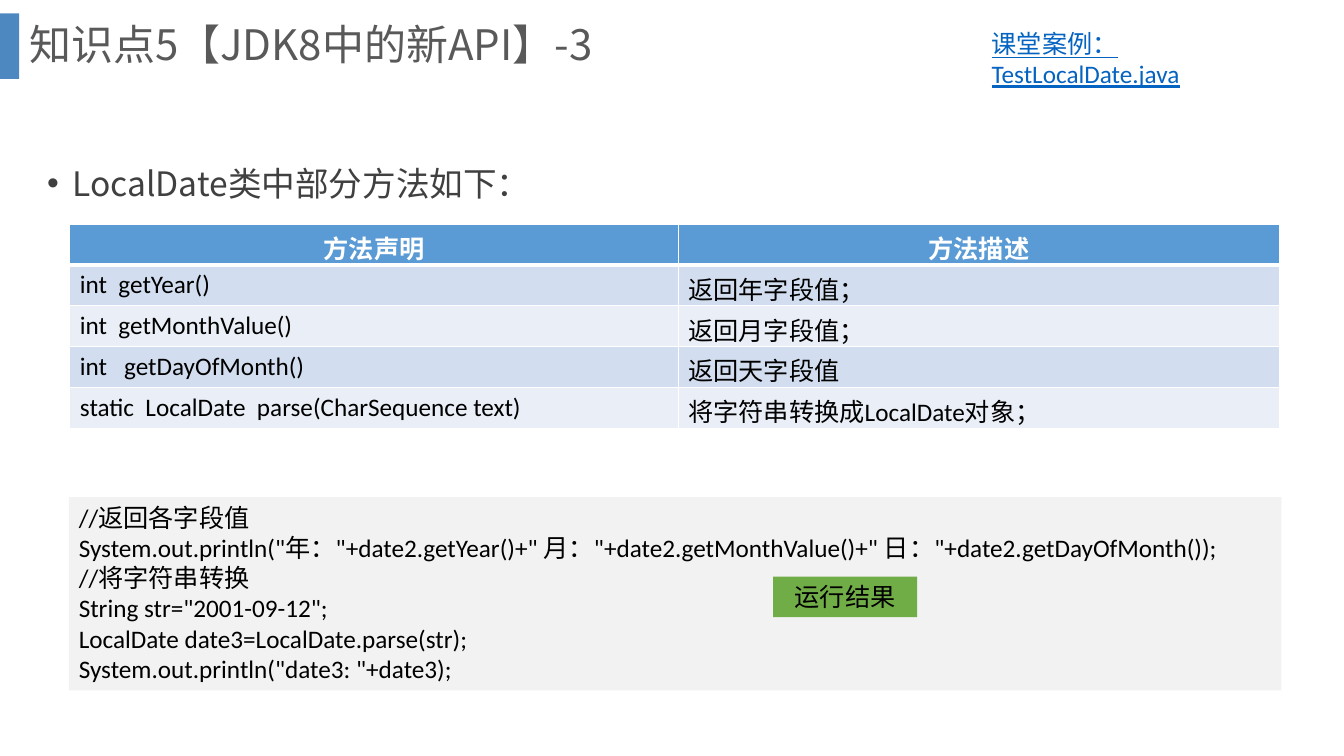
from lxml.etree import SubElement
from pptx import Presentation
from pptx.dml.color import RGBColor
from pptx.enum.shapes import MSO_SHAPE
from pptx.enum.text import MSO_ANCHOR, PP_ALIGN
from pptx.oxml.ns import qn
from pptx.util import Pt

COLORS = {
    "accent": "2E75B6", "title": "595959", "body": "404040", "link": "0563C1",
    "black": "000000", "white": "FFFFFF", "header": "5B9BD5", "odd": "D2DEEF",
    "even": "EAEFF7", "code": "F2F2F2", "button": "70AD47",
}
LATIN, CHINESE = "Calibri", "Noto Sans CJK SC"
TITLE = "知识点5【JDK8中的新API】-3"
BULLET = "LocalDate类中部分方法如下："
BUTTON = "运行结果"
LINK_PARTS = [("课堂案例：", "link"), (" ", "black"), ("TestLocalDate.java", "link")]
METHODS = [
    ("方法声明", "方法描述"),
    ("int  getYear()", "返回年字段值；"),
    ("int  getMonthValue()", "返回月字段值；"),
    ("int   getDayOfMonth()", "返回天字段值"),
    ("static  LocalDate  parse(CharSequence text)", "将字符串转换成LocalDate对象；"),
]
CODE = [
    "//返回各字段值",
    'System.out.println("年："+date2.getYear()+" 月："+date2.getMonthValue()+" 日："+date2.getDayOfMonth());',
    "//将字符串转换",
    'String str="2001-09-12";',
    "LocalDate date3=LocalDate.parse(str);",
    'System.out.println("date3: "+date3);',
]
COLUMN_WIDTHS = (434.6, 429.6)
ROW_HEIGHT = 29.2


def rgb(name):
    return RGBColor.from_string(COLORS[name])


def style_run(run, size=18, color="black", font=LATIN, bold=False, underline=False):
    run.font.size, run.font.name = Pt(size), font
    run.font.bold, run.font.underline = bold, underline
    run.font.color.rgb = rgb(color)
    east_asian = SubElement(run.font._element, qn("a:ea"))
    east_asian.set("typeface", CHINESE)


def write(frame, text, align=PP_ALIGN.LEFT, anchor=MSO_ANCHOR.TOP, **style):
    frame.word_wrap = True
    frame.vertical_anchor = anchor
    frame.text = text
    for paragraph in frame.paragraphs:
        paragraph.alignment = align
        for run in paragraph.runs:
            style_run(run, **style)
    return frame.paragraphs[0]


def add_text_box(slide, *bounds):
    return slide.shapes.add_textbox(*map(Pt, bounds)).text_frame


def add_box(slide, color, *bounds):
    shape = slide.shapes.add_shape(MSO_SHAPE.RECTANGLE, *map(Pt, bounds))
    shape.shadow.inherit = False
    shape.fill.solid()
    shape.fill.fore_color.rgb = rgb(color)
    shape.line.fill.background()
    return shape


def add_bullet(paragraph, indent):
    properties = paragraph._p.get_or_add_pPr()
    properties.set("marL", str(Pt(indent)))
    properties.set("indent", str(-Pt(indent)))
    SubElement(properties, qn("a:buFont")).set("typeface", "Arial")
    SubElement(properties, qn("a:buChar")).set("char", "•")


def add_borders(cell, bottom_width):
    properties = cell._tc.get_or_add_tcPr()
    for side, width in (("L", 1), ("R", 1), ("T", 1), ("B", bottom_width)):
        line = SubElement(properties, qn(f"a:ln{side}"), w=str(Pt(width)))
        fill = SubElement(line, qn("a:solidFill"))
        SubElement(fill, qn("a:srgbClr"), val=COLORS["white"])


def add_method_table(slide):
    table = slide.shapes.add_table(
        len(METHODS), len(COLUMN_WIDTHS), Pt(49.9), Pt(160),
        Pt(sum(COLUMN_WIDTHS)), Pt(ROW_HEIGHT * len(METHODS))).table
    for column, width in zip(table.columns, COLUMN_WIDTHS):
        column.width = Pt(width)
    for row_index, texts in enumerate(METHODS):
        is_header = row_index == 0
        fill = "header" if is_header else "odd" if row_index % 2 else "even"
        table.rows[row_index].height = Pt(ROW_HEIGHT)
        for column_index, text in enumerate(texts):
            cell = table.cell(row_index, column_index)
            add_borders(cell, 3 if is_header else 1)
            cell.fill.solid()
            cell.fill.fore_color.rgb = rgb(fill)
            write(cell.text_frame, text, bold=is_header,
                  align=PP_ALIGN.CENTER if is_header else PP_ALIGN.LEFT,
                  color="white" if is_header else "black")


def main():
    """Build the LocalDate methods slide."""
    presentation = Presentation()
    presentation.slide_width, presentation.slide_height = Pt(960), Pt(540)
    slide = presentation.slides.add_slide(presentation.slide_layouts[6])

    accent = add_box(slide, "accent", 0, 9.6, 13.7, 46.8)
    accent_color = accent.fill._xPr.find(qn("a:solidFill"))[0]
    SubElement(accent_color, qn("a:alpha"), val="85000")

    bullet = write(add_text_box(slide, 26.6, 98.6, 867.6, 61.9), BULLET,
                   size=24, color="body", font=CHINESE)
    bullet.line_spacing, bullet.space_before = 1.5, Pt(10)
    add_bullet(bullet, 18)

    title = write(add_text_box(slide, 13.7, 0, 911.5, 67), TITLE, size=30,
                  color="title", font=CHINESE, anchor=MSO_ANCHOR.MIDDLE)
    title.line_spacing = 0.9

    add_method_table(slide)
    write(add_box(slide, "code", 49.2, 355, 866.2, 138.2).text_frame, "\n".join(CODE))
    write(add_box(slide, "button", 552.2, 411.8, 103, 29.1).text_frame, BUTTON,
          align=PP_ALIGN.CENTER)

    link_frame = add_text_box(slide, 701.3, 16.6, 240.5, 51)
    link_frame.word_wrap = True
    for text, color in LINK_PARTS:
        run = link_frame.paragraphs[0].add_run()
        run.text = text
        style_run(run, color=color, underline=color == "link")

    presentation.save("out.pptx")


if __name__ == "__main__":
    main()
